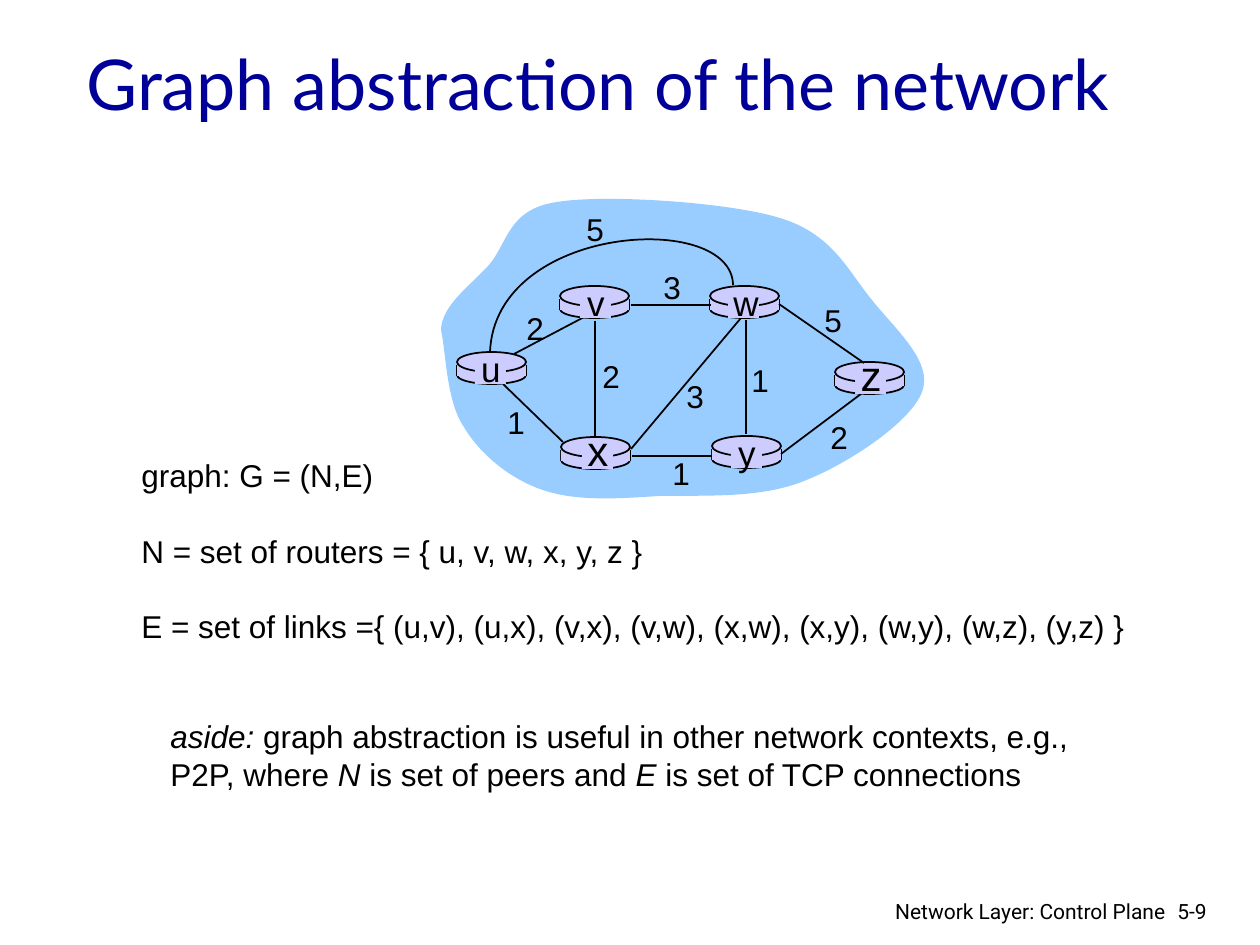
"""Build the slide on the graph abstraction of a network."""
from lxml.etree import SubElement
from pptx import Presentation
from pptx.dml.color import RGBColor
from pptx.enum.shapes import MSO_CONNECTOR, MSO_SHAPE
from pptx.enum.text import MSO_ANCHOR, PP_ALIGN
from pptx.oxml.ns import qn
from pptx.util import Emu, Pt

SCALE = 914400 / 126
BLACK = RGBColor(0, 0, 0)
NAVY = RGBColor(0, 0, 0x99)
SKY = RGBColor(0x99, 0xCC, 0xFF)
LILAC = RGBColor(0xCC, 0xCC, 0xFF)

deck = Presentation()
deck.slide_width, deck.slide_height = Emu(round(1260 * SCALE)), Emu(round(945 * SCALE))
page = deck.slides.add_slide(deck.slide_layouts[5])


def add_text(place, paragraphs, size, align=PP_ALIGN.LEFT, font="Arial", wrap=True):
    """Add a text box; each paragraph is a list of (words, italic) pairs."""
    box = page.shapes.add_textbox(*[Emu(round(value * SCALE)) for value in place])
    frame = box.text_frame
    frame.word_wrap = wrap
    for number, spans in enumerate(paragraphs):
        para = frame.paragraphs[0] if number == 0 else frame.add_paragraph()
        para.alignment = align
        for words, italic in spans:
            span = para.add_run()
            span.text = words
            span.font.name, span.font.size = font, Pt(size)
            span.font.italic = italic
            span.font.color.rgb = BLACK
    return box


def add_curve(start, points, closed):
    """Add a freeform of cubic curves, three points to each curve."""
    builder = page.shapes.build_freeform(*start, scale=SCALE)
    builder.add_line_segments(points, close=closed)
    curve = builder.convert_to_shape()
    curve.shadow.inherit = False
    outline = next(curve._element.iter(qn("a:path")))
    corners = outline.findall(qn("a:lnTo"))
    for first in range(0, len(points), 3):
        cubic = SubElement(outline, qn("a:cubicBezTo"))
        for corner in corners[first:first + 3]:
            cubic.append(corner[0])
            outline.remove(corner)
    if closed:
        outline.append(outline.find(qn("a:close")))
    return curve


title = page.shapes.title
title.left, title.top, title.width, title.height = [
    Emu(round(value * SCALE)) for value in (74, 28, 1071, 110)]
title.text_frame.text = "Graph abstraction of the network"
title.text_frame.vertical_anchor = MSO_ANCHOR.MIDDLE
title_para = title.text_frame.paragraphs[0]
title_para.alignment = PP_ALIGN.LEFT
title_font = title_para.runs[0].font
title_font.name, title_font.size, title_font.color.rgb = "Lato", Pt(40), NAVY

cloud = add_curve((441, 330), [
    (442, 305), (470, 286), (489, 265), (508, 243), (508, 209), (557, 202),
    (605, 194), (728, 202), (780, 218), (833, 234), (848, 271), (872, 300),
    (895, 329), (934, 362), (922, 392), (911, 422), (848, 464), (804, 481),
    (760, 499), (702, 495), (658, 496), (615, 499), (575, 501), (543, 490),
    (510, 479), (480, 454), (464, 427), (446, 401), (446, 350), (441, 330)], True)
cloud.fill.solid()
cloud.fill.fore_color.rgb = SKY
cloud.line.fill.background()

routers = [("u", 457, 352, 20, 34), ("x", 561, 437, 24, 37), ("v", 560, 286, 20, 36),
           ("w", 710, 286, 20, 34), ("y", 712, 436, 20, 35), ("z", 835, 362, 24, 36)]
links = [(514, 354, 590, 314), (746, 320, 746, 434), (595, 321, 595, 438),
         (631, 449, 741, 318), (781, 454, 861, 394), (712, 456, 632, 456),
         (563, 442, 503, 384), (711, 305, 631, 305), (864, 363, 779, 304)]
costs = [("2", 535, 328), ("2", 611, 376), ("1", 516, 422), ("3", 695, 396),
         ("1", 681, 473), ("1", 760, 380), ("2", 839, 437), ("5", 833, 320),
         ("3", 672, 287), ("5", 595, 229)]

LINE, OVAL, BLOCK = "line", MSO_SHAPE.OVAL, MSO_SHAPE.RECTANGLE
parts = []
for name, x, y, size, middle in routers:
    parts += [(OVAL, x, y + 14, 69, 18),
              (LINE, x, y + 13, x, y + 24), (LINE, x + 69, y + 13, x + 69, y + 24),
              (BLOCK, x, y + 13, 69, 11), (OVAL, x, y, 69, 20)]
parts += [(LINE, *ends) for ends in links]
parts += [(BLOCK, x + middle - 16, y + 3, 31, 29) for name, x, y, size, middle in routers]

for kind, *place in parts:
    lengths = [Emu(round(value * SCALE)) for value in place]
    if kind == LINE:
        piece = page.shapes.add_connector(MSO_CONNECTOR.STRAIGHT, *lengths)
        SubElement(piece._element.spPr, qn("a:effectLst"))
    else:
        piece = page.shapes.add_shape(kind, *lengths)
        piece.shadow.inherit = False
        piece.fill.solid()
        piece.fill.fore_color.rgb = LILAC
    if kind == BLOCK:
        piece.line.fill.background()
    else:
        piece.line.color.rgb, piece.line.width = BLACK, Pt(1)

arc = add_curve((733, 285), [(732, 210), (495, 224), (490, 352)], False)
arc.fill.background()
arc.line.color.rgb, arc.line.width = BLACK, Pt(1)

for name, x, y, size, middle in routers:
    height, drop = (54, 16) if size == 20 else (63, 13)
    add_text((x + middle - 23, y + drop - height / 2, 46, height), [[(name, False)]],
             size, PP_ALIGN.CENTER, wrap=False)
for cost, x, y in costs:
    add_text((x - 21, y - 25, 42, 50), [[(cost, False)]], 18, PP_ALIGN.CENTER, wrap=False)

definitions = add_text((129, 450, 1025, 202), [
    [("graph: G = (N,E)", False)],
    [("N = set of routers = { u, v, w, x, y, z }", False)],
    [("E = set of links ={ (u,v), (u,x), (v,x), (v,w), (x,w), "
      "(x,y), (w,y), (w,z), (y,z) }", False)]], 18)
for para in definitions.text_frame.paragraphs[1:]:
    para.space_before = Pt(21.5)

add_text((158, 711, 940, 88), [
    [("aside:", True),
     (" graph abstraction is useful in other network contexts, e.g., ", False)],
    [("P2P, where ", False), ("N", True), (" is set of peers and ", False),
     ("E", True), (" is set of TCP connections", False)]], 18)

add_text((1165, 892, 76, 38), [[("5-9", False)]], 12, font="Roboto")
add_text((878, 892, 300, 33), [[("Network Layer: Control Plane", False)]], 12,
         PP_ALIGN.RIGHT, "Roboto")

deck.save("out.pptx")
